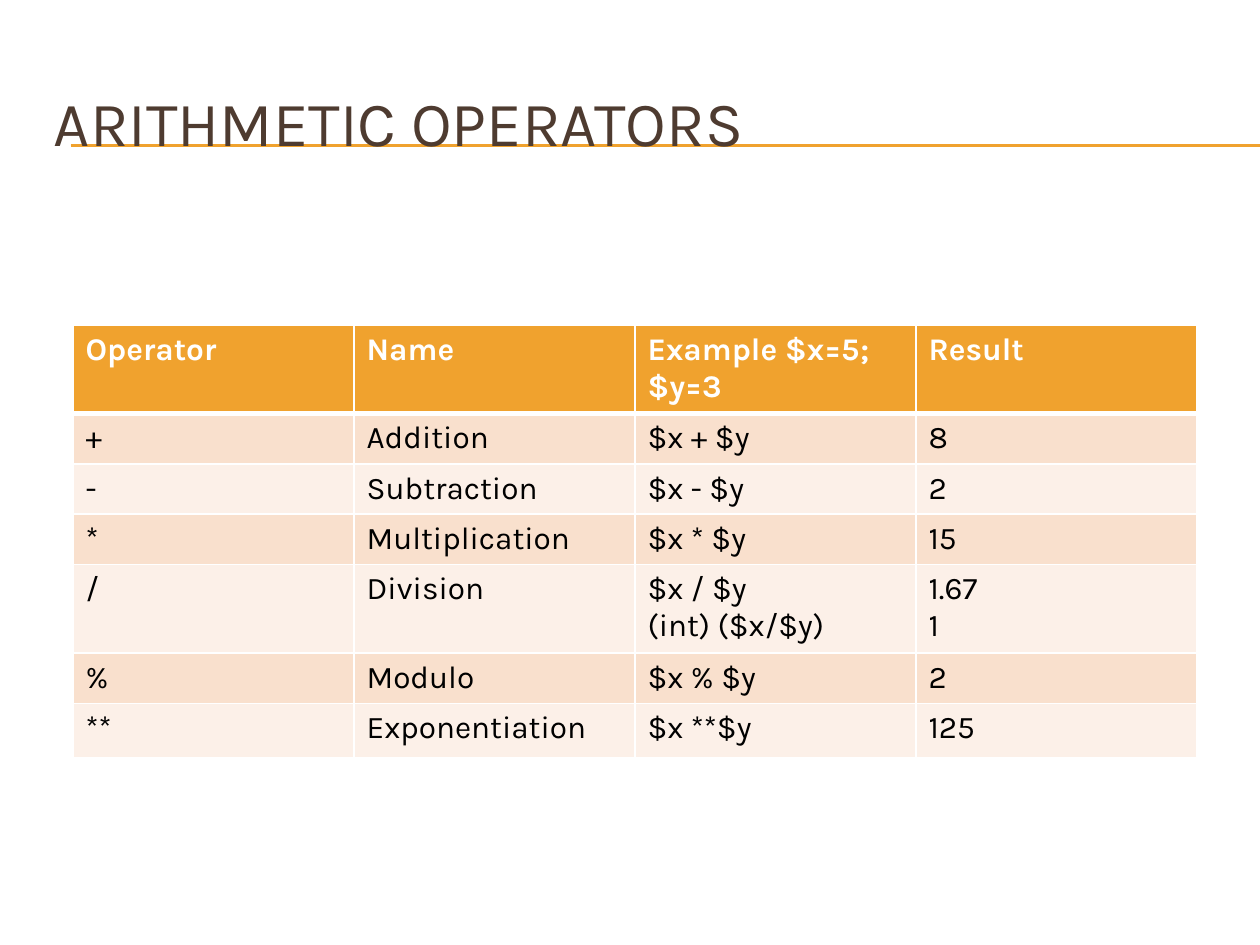
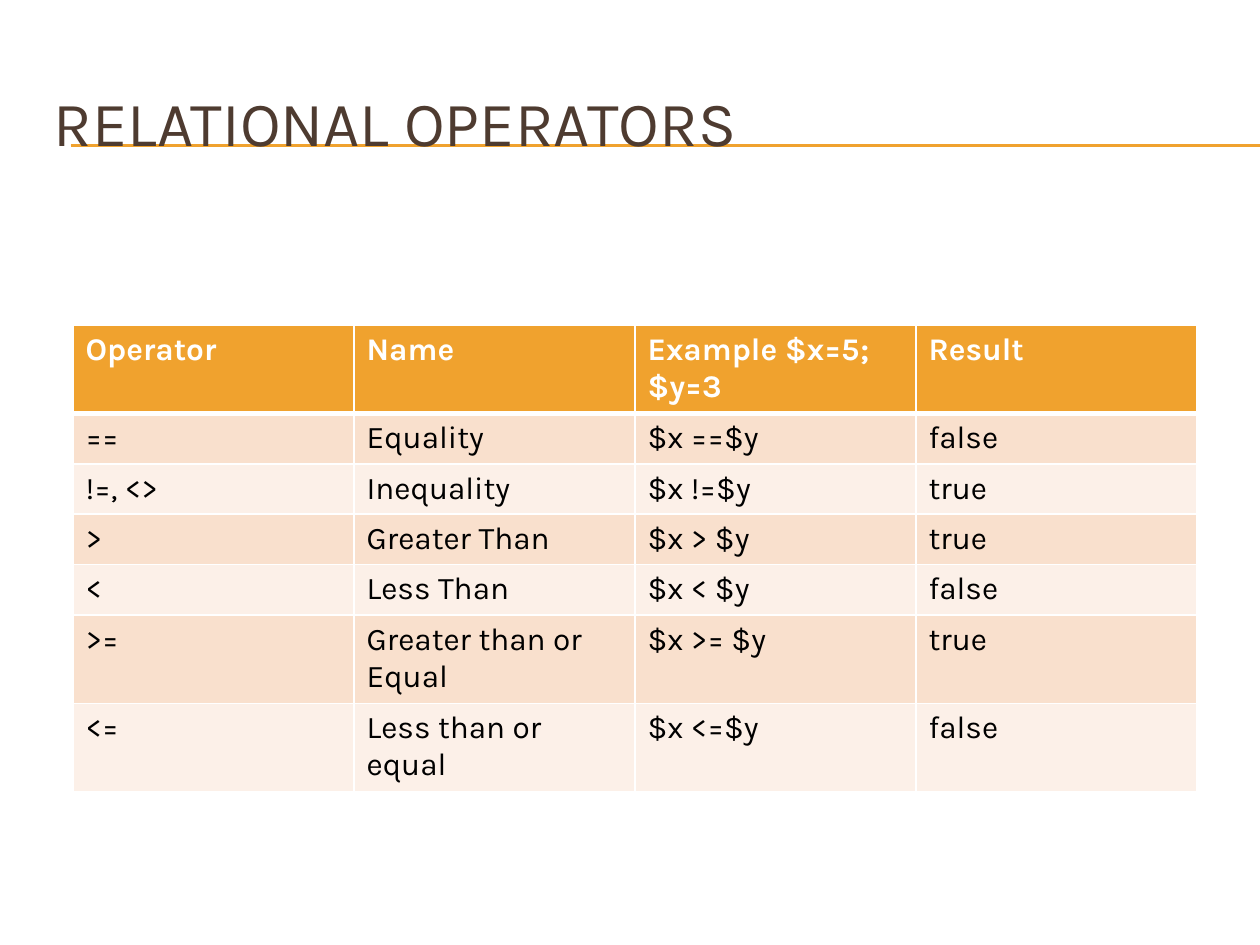
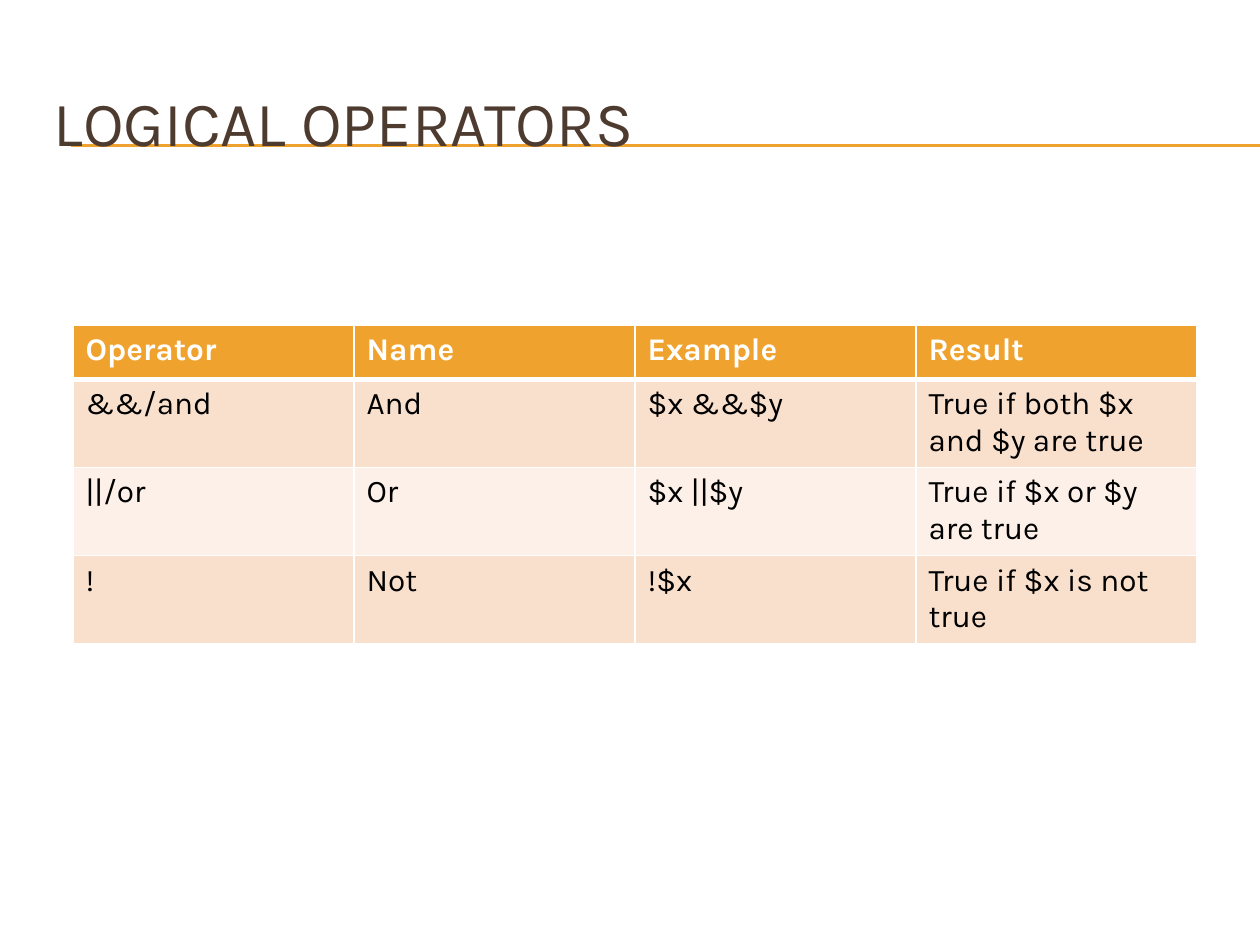
"""Build three slides of PHP operator tables."""
from lxml import etree
from pptx import Presentation
from pptx.dml.color import RGBColor
from pptx.enum.shapes import MSO_CONNECTOR
from pptx.enum.text import MSO_ANCHOR
from pptx.oxml.ns import qn
from pptx.util import Inches, Pt

STRAIGHT = MSO_CONNECTOR.STRAIGHT
MIDDLE = MSO_ANCHOR.MIDDLE

FONT = "Karla"
ORANGE = RGBColor(0xF0, 0xA2, 0x2E)
BROWN = RGBColor(0x4E, 0x3B, 0x30)
PEACH = RGBColor(0xF9, 0xE0, 0xCD)
CREAM = RGBColor(0xFC, 0xF0, 0xE8)
WHITE = RGBColor(0xFF, 0xFF, 0xFF)
BLACK = RGBColor(0x00, 0x00, 0x00)

COLUMN_WIDTH = 2.23
RULE_TOPS = (1.15, 1.16)

SLIDES = [
    {
        "title": "ARITHMETIC OPERATORS",
        "heights": [0.7, 0.4, 0.34, 0.34, 0.34, 0.4, 0.43],
        "rows": [
            ("Operator", "Name", "Example $x=5; $y=3", "Result"),
            ("+", "Addition", "$x + $y", "8"),
            ("-", "Subtraction", "$x - $y", "2"),
            ("*", "Multiplication", "$x * $y", "15"),
            ("/", "Division", "$x / $y\n(int) ($x/$y)", "1.67\n1"),
            ("%", "Modulo", "$x % $y", "2"),
            ("**", "Exponentiation", "$x **$y", "125"),
        ],
    },
    {
        "title": "RELATIONAL OPERATORS",
        "heights": [0.43, 0.34, 0.34, 0.34, 0.34, 0.34, 0.43],
        "rows": [
            ("Operator", "Name", "Example $x=5; $y=3", "Result"),
            ("==", "Equality", "$x ==$y", "false"),
            ("!=, <>", "Inequality", "$x !=$y", "true"),
            (">", "Greater Than", "$x > $y", "true"),
            ("<", "Less Than", "$x < $y", "false"),
            (">=", "Greater than or Equal", "$x >= $y", "true"),
            ("<=", "Less than or equal", "$x <=$y", "false"),
        ],
    },
    {
        "title": "LOGICAL OPERATORS",
        "heights": [0.43, 0.34, 0.34, 0.34],
        "rows": [
            ("Operator", "Name", "Example", "Result"),
            ("&&/and", "And", "$x &&$y", "True if both $x and $y are true"),
            ("||/or", "Or", "$x ||$y", "True if $x or $y are true"),
            ("!", "Not", "!$x", "True if $x is not true"),
        ],
    },
]


def style_text(tf, size, color, bold=False):
    for p in tf.paragraphs:
        p.font.name = FONT
        p.font.size = Pt(size)
        p.font.bold = bold
        p.font.color.rgb = color


def add_rules(s):
    for top in RULE_TOPS:
        line = s.shapes.add_connector(
            STRAIGHT, Inches(0.56), Inches(top), Inches(10), Inches(top))
        line.line.color.rgb = ORANGE
        line.line.width = Pt(0.75)
        etree.SubElement(line._element.spPr, qn("a:effectLst"))


def add_title(s, text):
    sp = s.shapes.add_textbox(Inches(0.33), Inches(0.5), Inches(9.5), Inches(0.92))
    tf = sp.text_frame
    tf.word_wrap = True
    tf.vertical_anchor = MIDDLE
    tf.text = text
    style_text(tf, 36, BROWN)


def set_borders(cell, top, bottom):
    tc_pr = cell._tc.get_or_add_tcPr()
    for side, width in (("L", 1), ("R", 1), ("T", top), ("B", bottom)):
        ln = etree.SubElement(tc_pr, qn(f"a:ln{side}"), w=str(Pt(width)))
        fill = etree.SubElement(ln, qn("a:solidFill"))
        etree.SubElement(fill, qn("a:srgbClr"), val=str(WHITE))


def add_operator_table(s, rows, heights):
    columns = len(rows[0])
    table = s.shapes.add_table(
        len(rows), columns, Inches(0.58), Inches(2.58),
        Inches(COLUMN_WIDTH * columns), Inches(sum(heights))).table
    table.horz_banding = False
    for column in table.columns:
        column.width = Inches(COLUMN_WIDTH)
    for i, (values, height) in enumerate(zip(rows, heights)):
        table.rows[i].height = Inches(height)
        header = i == 0
        band = ORANGE if header else PEACH if i % 2 else CREAM
        for j, value in enumerate(values):
            cell = table.cell(i, j)
            cell.text = value
            style_text(cell.text_frame, 18, WHITE if header else BLACK, header)
            set_borders(cell, 3 if i == 1 else 1, 3 if header else 1)
            cell.fill.solid()
            cell.fill.fore_color.rgb = band


def main():
    prs = Presentation()
    prs.slide_width = Inches(10)
    prs.slide_height = Inches(7.5)
    for content in SLIDES:
        s = prs.slides.add_slide(prs.slide_layouts[6])
        add_rules(s)
        add_title(s, content["title"])
        add_operator_table(s, content["rows"], content["heights"])
    prs.save("out.pptx")


if __name__ == "__main__":
    main()
